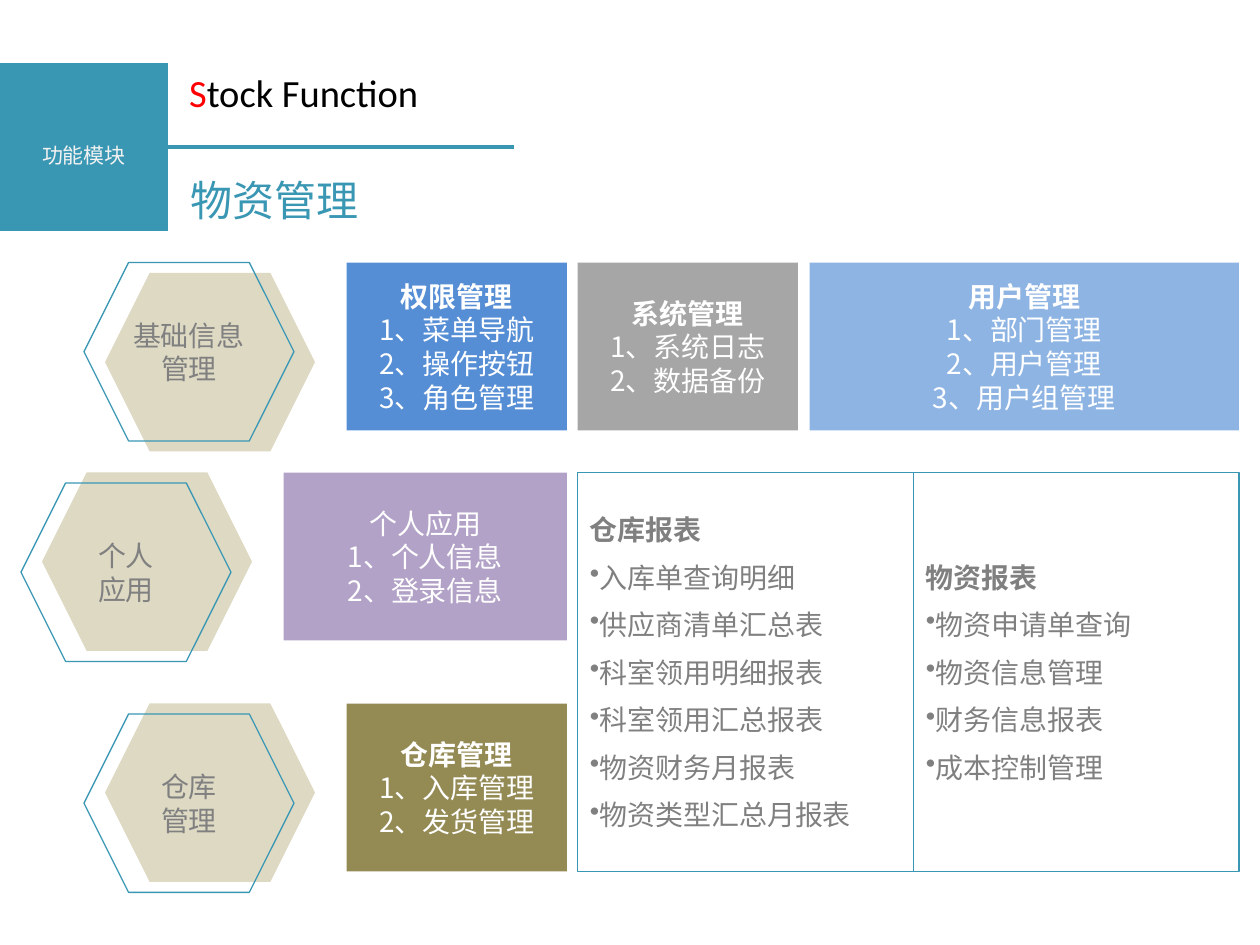
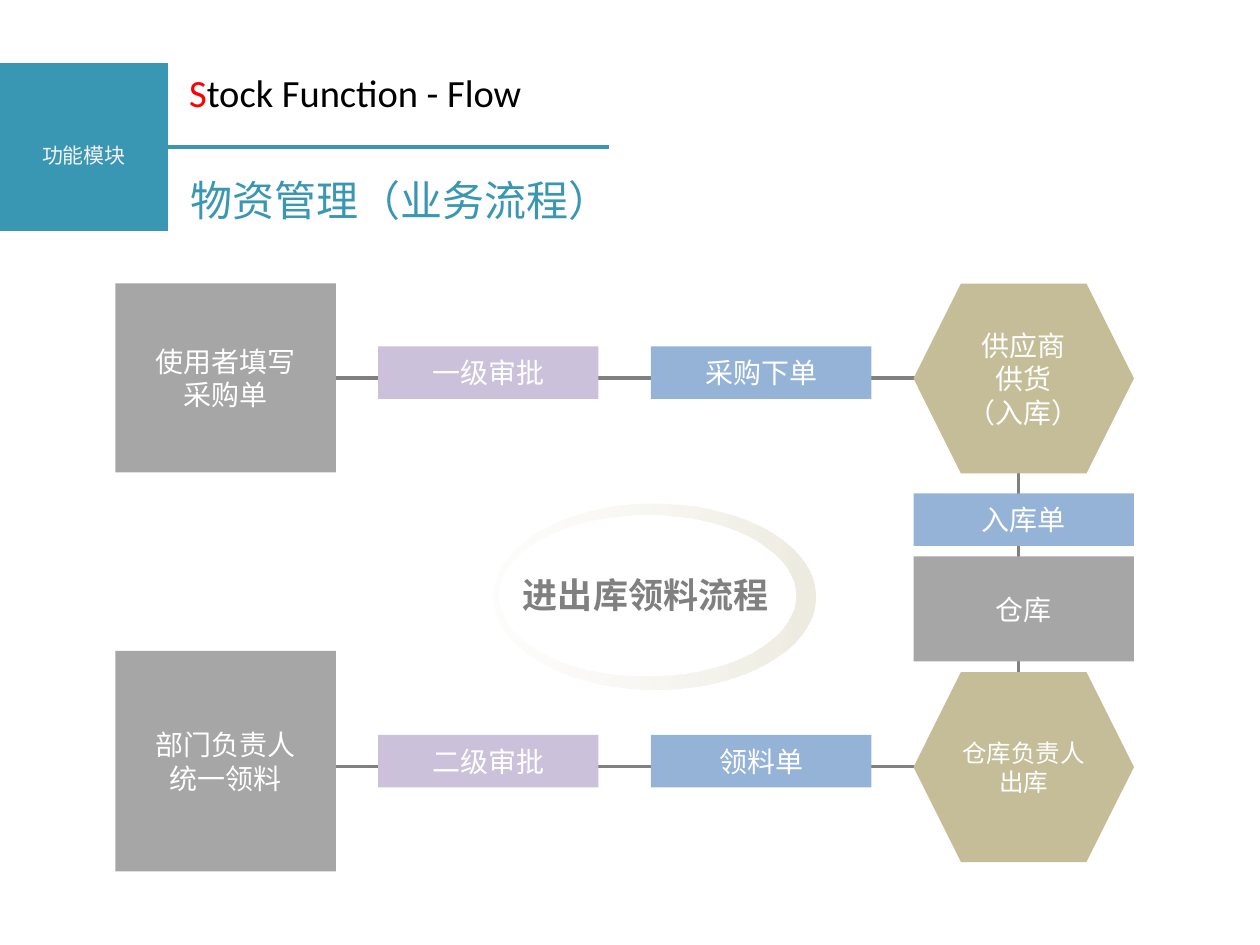
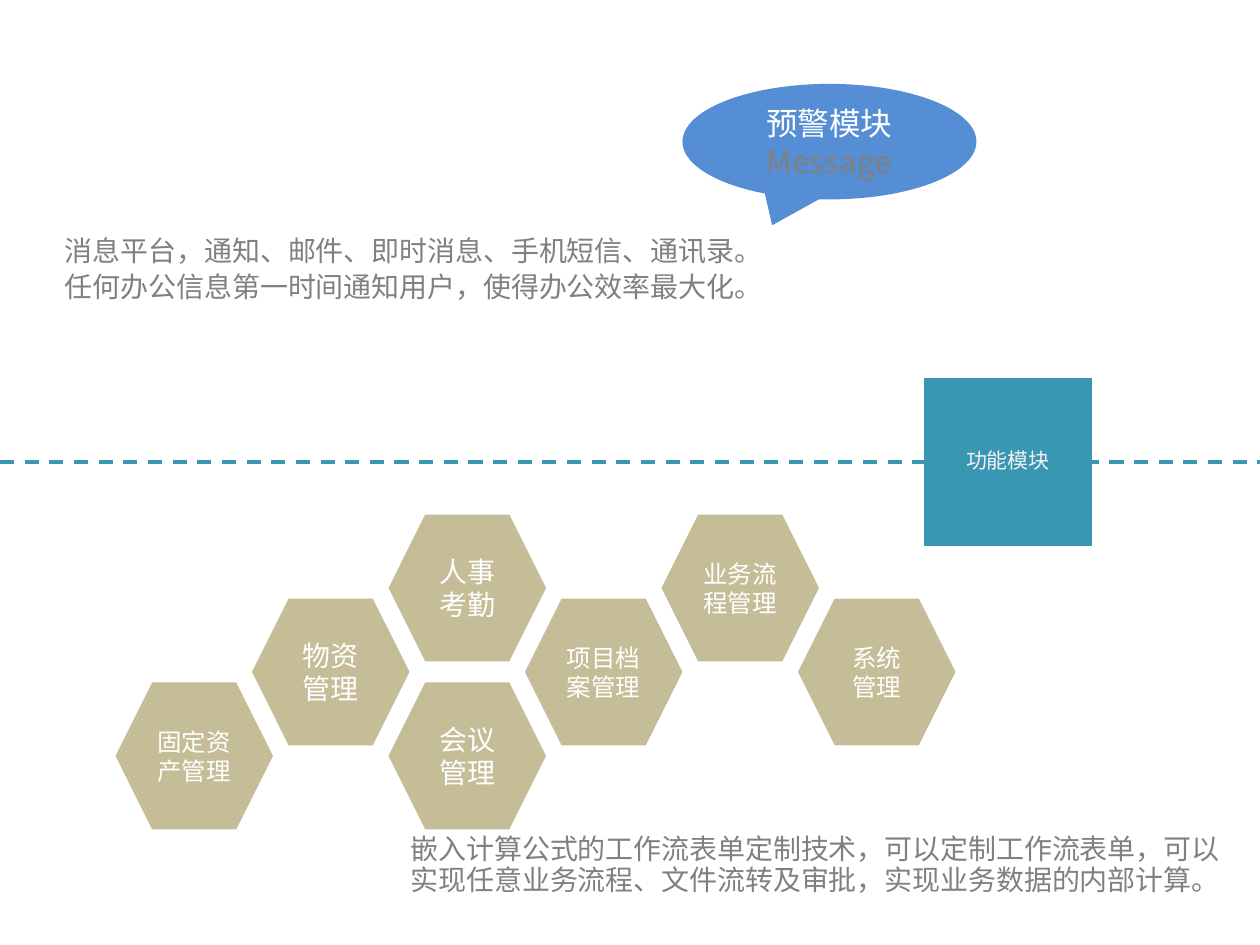
import math

import lxml.etree
import pptx
import pptx.dml.color
import pptx.enum.dml
import pptx.enum.lang
import pptx.enum.shapes
import pptx.enum.text
import pptx.oxml.ns
import pptx.util


class Theme:
    teal, red, black, white = "3A97B4", "FF0000", "000000", "FFFFFF"
    blue, sky, steel = "558ED5", "8EB4E3", "95B3D7"
    grey, dark_grey, pale = "A6A6A6", "808080", "F2F2F2"
    purple, lilac = "B3A2C7", "CCC1DA"
    sand, tan, olive = "DDD9C3", "C4BD97", "948A54"
    ring_start, ring_end = "FAF9F6", "EEECE1"
    chinese, latin, accent = "Noto Sans CJK SC", "Calibri", "Lato"
    label, small, body, callout, center, header, title = 12, 14, 16, 18, 20, 22, 24


Pt = pptx.util.Pt
rgb = pptx.dml.color.RGBColor.from_string
qn = pptx.oxml.ns.qn
KIND = pptx.enum.shapes.MSO_SHAPE
ALIGN = pptx.enum.text.PP_ALIGN


def add_item(slide, kind, box, paragraphs=(), fill=None, line=None, size=Theme.body,
             color=Theme.white, font=Theme.chinese, bold=0, align=ALIGN.CENTER,
             bullets=False, before=None, spacing=None):
    """Add a preset shape, or a text box when kind is None.

    A paragraph is a string or a list of (text, colour) pairs; the first
    `bold` paragraphs are bold, and `bullets` marks all those after them.
    """
    box = [Pt(value) for value in box]
    if kind is None:
        shape = slide.shapes.add_textbox(*box)
    else:
        shape = slide.shapes.add_shape(kind, *box)
        shape.shadow.inherit = False
        shape.text_frame.vertical_anchor = pptx.enum.text.MSO_ANCHOR.MIDDLE
        for part, part_color in ((shape.fill, fill), (shape.line.fill, line)):
            if part_color:
                part.solid()
                part.fore_color.rgb = rgb(part_color)
            else:
                part.background()
        if line:
            shape.line.width = Pt(0.75)
    frame = shape.text_frame
    frame.word_wrap = True
    for index, content in enumerate(paragraphs):
        paragraph = frame.add_paragraph() if index else frame.paragraphs[0]
        paragraph_format = {"alignment": align, "space_before": before, "line_spacing": spacing}
        for name, value in paragraph_format.items():
            setattr(paragraph, name, value)
        if bullets and index >= bold:
            properties = paragraph._p.get_or_add_pPr()
            lxml.etree.SubElement(properties, qn("a:buChar")).set("char", "•")
        runs = [(content, color)] if isinstance(content, str) else content
        for text, run_color in runs:
            run = paragraph.add_run()
            run.text = text
            run_format = {"size": Pt(size), "bold": index < bold, "name": font,
                          "language_id": pptx.enum.lang.MSO_LANGUAGE_ID.SIMPLIFIED_CHINESE}
            for name, value in run_format.items():
                setattr(run.font, name, value)
            run.font.color.rgb = rgb(run_color)
            east_asian = lxml.etree.SubElement(run.font._element, qn("a:ea"))
            east_asian.set("typeface", font)
    return shape


def add_line(slide, x1, y1, x2, y2, color, dash=None):
    connector = slide.shapes.add_connector(
        pptx.enum.shapes.MSO_CONNECTOR.STRAIGHT, Pt(x1), Pt(y1), Pt(x2), Pt(y2))
    connector.line.color.rgb = rgb(color)
    connector.line.width = Pt(2)
    connector.line.dash_style = dash
    lxml.etree.SubElement(connector._element.spPr, qn("a:effectLst"))


presentation = pptx.Presentation()
presentation.slide_width, presentation.slide_height = Pt(720), Pt(540)
modules, flow, message = slides = [
    presentation.slides.add_slide(presentation.slide_layouts[6]) for _ in range(3)]

# Rules and section badges
add_line(modules, 96, 84, 294, 84, Theme.teal)
add_line(flow, 96, 84, 348, 84, Theme.teal)
add_line(message, 0, 264, 720, 264, Theme.teal, pptx.enum.dml.MSO_LINE.DASH)
for slide, left, top, label_top in [(modules, 0, 36, 78), (flow, 0, 36, 78),
                                    (message, 528, 216, 252)]:
    add_item(slide, KIND.RECTANGLE, (left, top, 96, 96), fill=Theme.teal)
    add_item(slide, None, (left, label_top, 96, 22), ["功能模块"],
             size=Theme.label, color=Theme.pale)

# Titles
for slide, english, chinese in [(modules, "tock Function", "物资管理"),
                                (flow, "tock Function - Flow", "物资管理（业务流程）")]:
    add_item(slide, None, (101, 36, 245, 34), [[("S", Theme.red), (english, Theme.black)]],
             size=Theme.header, font=Theme.latin, align=ALIGN.LEFT)
    add_item(slide, None, (102, 96, 270, 36), [chinese],
             size=Theme.title, color=Theme.teal, align=ALIGN.LEFT)

# Slide 1: hexagon category labels
for left, top, shift, lines in [(60, 156, -6, ["基础信息管理"]),
                                (24, 270, 6, ["个人", "应用"]),
                                (60, 402, 6, ["仓库", "管理"])]:
    add_item(modules, KIND.HEXAGON, (left, top, 120, 102), fill=Theme.sand)
    add_item(modules, KIND.HEXAGON, (left - 12, top + shift, 120, 102), lines,
             line=Theme.teal, color=Theme.dark_grey)

# Slide 1: function blocks
for left, top, width, fill, bold, lines in [
    (198, 150, 126, Theme.blue, 1, ["权限管理", "1、菜单导航", "2、操作按钮", "3、角色管理"]),
    (330, 150, 126, Theme.grey, 1, ["系统管理", "1、系统日志", "2、数据备份"]),
    (462.6, 150, 245.4, Theme.sky, 1,
     ["用户管理", "1、部门管理", "2、用户管理", "3、用户组管理"]),
    (162, 270, 162, Theme.purple, 0, ["个人应用", "1、个人信息", "2、登录信息"]),
    (198, 402, 126, Theme.olive, 1, ["仓库管理", "1、入库管理", "2、发货管理"]),
]:
    add_item(modules, KIND.RECTANGLE, (left, top, width, 96), lines, fill=fill, bold=bold)

# Slide 1: report lists
for left, width, lines in [
    (330, 192, ["仓库报表", "入库单查询明细", "供应商清单汇总表", "科室领用明细报表",
                "科室领用汇总报表", "物资财务月报表", "物资类型汇总月报表"]),
    (522, 186, ["物资报表", "物资申请单查询", "物资信息管理", "财务信息报表", "成本控制管理"]),
]:
    add_item(modules, KIND.RECTANGLE, (left, 270, width, 228), lines, line=Theme.teal,
             color=Theme.dark_grey, bold=1, align=ALIGN.LEFT, bullets=True, before=Pt(8))

# Slide 2: flow lines behind the steps
for ends in [(186, 216, 408, 216), (438, 216, 594, 216), (582, 270, 582, 384),
             (408, 438, 564, 438), (396, 438, 162, 438)]:
    add_line(flow, *ends, Theme.dark_grey)

# Slide 2: flow steps
for kind, left, top, height, fill, size, font, lines in [
    (KIND.RECTANGLE, 66, 162, 108, Theme.grey, Theme.body, Theme.chinese,
     ["使用者填写", "采购单"]),
    (KIND.RECTANGLE, 216, 198, 30, Theme.lilac, Theme.body, Theme.chinese, ["一级审批"]),
    (KIND.RECTANGLE, 372, 198, 30, Theme.steel, Theme.body, Theme.chinese, ["采购下单"]),
    (KIND.HEXAGON, 522, 162, 108.6, Theme.tan, Theme.body, Theme.chinese,
     ["供应商", "供货", "（入库）"]),
    (KIND.RECTANGLE, 522, 282, 30, Theme.steel, Theme.body, Theme.chinese, ["入库单"]),
    (KIND.RECTANGLE, 522, 318, 60, Theme.grey, Theme.body, Theme.accent, ["仓库"]),
    (KIND.HEXAGON, 522, 384, 108.6, Theme.tan, Theme.small, Theme.chinese,
     ["仓库负责人", "出库"]),
    (KIND.RECTANGLE, 372, 420, 30, Theme.steel, Theme.body, Theme.chinese, ["领料单"]),
    (KIND.RECTANGLE, 216, 420, 30, Theme.lilac, Theme.body, Theme.chinese, ["二级审批"]),
    (KIND.RECTANGLE, 66, 372, 126, Theme.grey, Theme.body, Theme.accent,
     ["部门负责人", "统一领料"]),
]:
    add_item(flow, kind, (left, top, 126, height), lines, fill=fill, size=size, font=font)

# Slide 2: crescent ring, the inner ellipse running the other way round
contours = []
for center_x, center_y, radius_x, radius_y, direction in [
        (374, 340.9, 92, 53, 1), (369.8, 340.3, 84.7, 45.7, -1)]:
    angles = [direction * math.tau * step / 72 for step in range(72)]
    contours.append([(Pt(center_x + radius_x * math.cos(angle)),
                      Pt(center_y + radius_y * math.sin(angle))) for angle in angles])
outer, inner = contours
builder = flow.shapes.build_freeform(*outer[0])
builder.add_line_segments(outer[1:], close=True)
builder.move_to(*inner[0])
builder.add_line_segments(inner[1:], close=True)
ring = builder.convert_to_shape()
ring.shadow.inherit = False
ring.line.fill.background()
ring.fill.gradient()
ring.fill.gradient_angle = 0
for stop, color in zip(ring.fill.gradient_stops, (Theme.ring_start, Theme.ring_end)):
    stop.color.rgb = rgb(color)
first_color = next(ring._element.spPr.iter(qn("a:srgbClr")))
lxml.etree.SubElement(first_color, qn("a:alpha")).set("val", "36000")
add_item(flow, None, (282, 324, 174, 32), ["进出库领料流程"],
         size=Theme.center, color=Theme.dark_grey, bold=1)

# Slide 3: callout and descriptions
callout = add_item(message, KIND.OVAL_CALLOUT, (390, 48, 168, 66),
                   ["预警模块", [("Message", Theme.dark_grey)]],
                   fill=Theme.blue, size=Theme.callout)
callout.adjustments[0], callout.adjustments[1] = -0.195, 0.724
for box, lines in [
    ((30, 132, 660, 60), ["消息平台，通知、邮件、即时消息、手机短信、通讯录。",
                          "任何办公信息第一时间通知用户，使得办公效率最大化。"]),
    ((227.5, 474, 492, 50), ["嵌入计算公式的工作流表单定制技术，可以定制工作流表单，"
                             "可以实现任意业务流程、文件流转及审批，实现业务数据的内部计算。"]),
]:
    add_item(message, None, box, lines, color=Theme.dark_grey, align=ALIGN.LEFT,
             before=Pt(3.2), spacing=0.9)

# Slide 3: honeycomb of modules, placed by column and half row
for column, row, size, lines in [
    (0, 2, Theme.small, ["固定资产管理"]),
    (1, 1, Theme.body, ["物资管理"]),
    (2, 2, Theme.body, ["会议管理"]),
    (3, 1, Theme.small, ["项目档案管理"]),
    (4, 0, Theme.small, ["业务流程管理"]),
    (2, 0, Theme.body, ["人事考勤"]),
    (5, 1, Theme.small, ["系统", "管理"]),
]:
    add_item(message, KIND.HEXAGON, (66 + 78 * column, 294 + 48 * row, 90, 84), lines,
             fill=Theme.tan, size=size, font=Theme.accent)

presentation.save("out.pptx")
